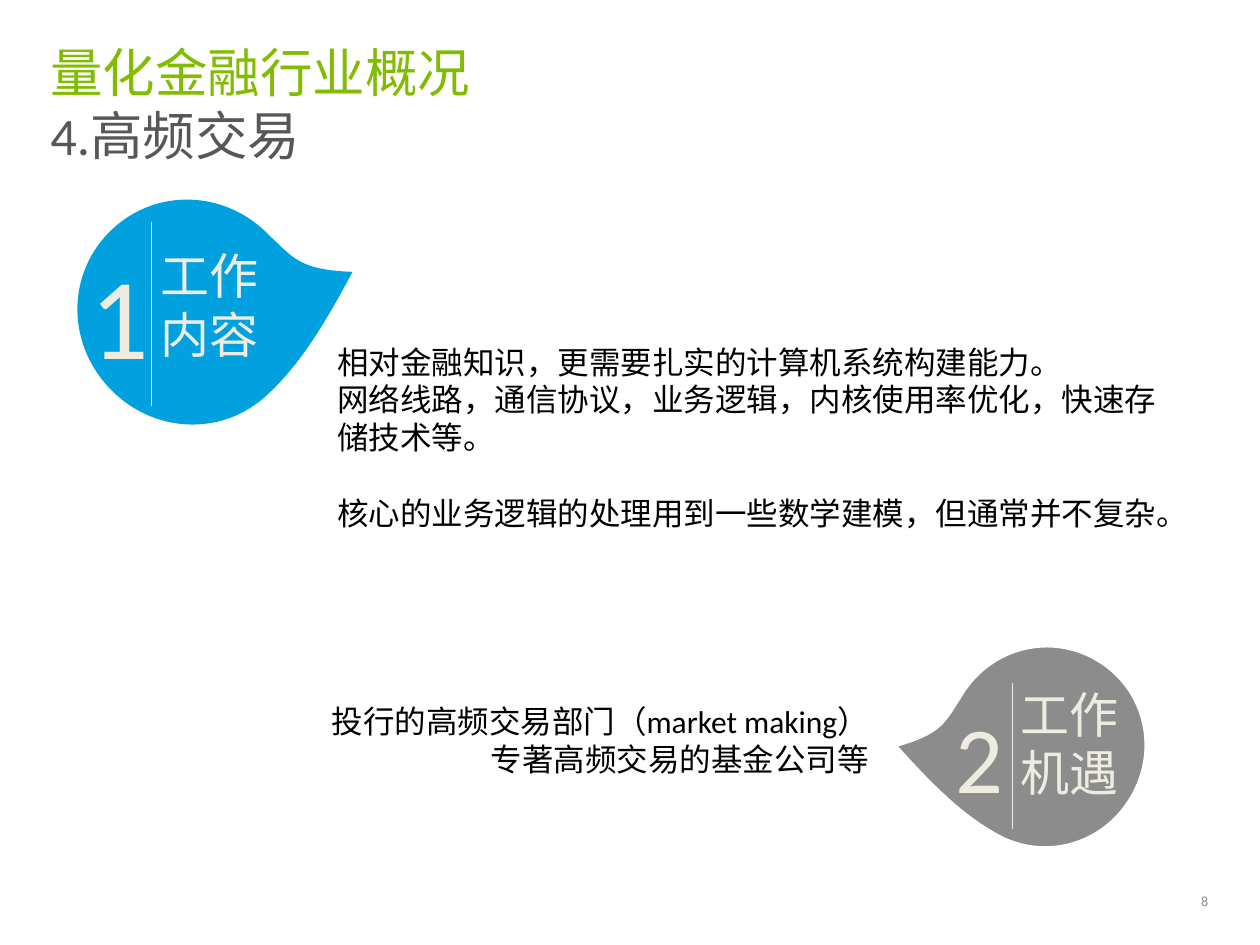
from lxml import etree
from pptx import Presentation
from pptx.dml.color import RGBColor
from pptx.enum.shapes import MSO_CONNECTOR
from pptx.enum.text import MSO_ANCHOR, MSO_AUTO_SIZE, PP_ALIGN
from pptx.oxml.ns import qn
from pptx.util import Inches, Pt

STRAIGHT = MSO_CONNECTOR.STRAIGHT
TOP, MIDDLE = MSO_ANCHOR.TOP, MSO_ANCHOR.MIDDLE
LEFT, RIGHT = PP_ALIGN.LEFT, PP_ALIGN.RIGHT
NO_AUTOFIT = MSO_AUTO_SIZE.NONE
TITLE_ONLY = 5
WIDTH, HEIGHT = Inches(10), Inches(7.5)
COLUMNS = 100  # the grid cells are square
CELL = WIDTH / COLUMNS

# Drop outline as shares of its box: two control points and an end per curve.
DROP_START = (0, 0.57)
DROP_CURVES = [
    [(0, 0.33), (0.22, 0.14), (0.5, 0.14)],
    [(0.63, 0.13), (0.69, 0.15), (0.86, 0)],
    [(0.97, 0.28), (1, 0.43), (1, 0.57)],
    [(1, 0.81), (0.78, 1), (0.5, 1)],
    [(0.22, 1), (0, 0.81), DROP_START],
]


def color(hex_string):
    return RGBColor.from_string(hex_string)


def cells(*values):
    return [round(value * CELL) for value in values]


class SlideBuilder:
    font = "Calibri"
    green, dark_gray, gray = "81BC00", "575757", "8C8C8C"
    blue, cream, black, white = "00A1DE", "EEECE1", "000000", "FFFFFF"

    def __init__(self, slide):
        self.slide = slide

    def add_run(self, paragraph, text, size, hex_color):
        run = paragraph.add_run()
        run.text = text
        run.font.name = self.font
        run.font.size = Pt(size)
        run.font.color.rgb = color(hex_color)

    def set_frame(self, frame, insets, anchor):
        frame.word_wrap = True
        frame.auto_size = NO_AUTOFIT
        frame.vertical_anchor = anchor
        horizontal, vertical = cells(*insets)
        frame.margin_left = frame.margin_right = horizontal
        frame.margin_top = frame.margin_bottom = vertical

    def title(self, box, heading, subheading, size=30):
        shape = self.slide.shapes.title
        shape.left, shape.top, shape.width, shape.height = cells(*box)
        self.set_frame(shape.text_frame, (0, 0), TOP)
        paragraph = shape.text_frame.paragraphs[0]
        paragraph.alignment = LEFT
        self.add_run(paragraph, heading, size, self.green)
        paragraph.add_line_break()
        line_break = paragraph._p.find(qn("a:br"))
        etree.SubElement(line_break, qn("a:rPr"), sz=str(size * 100))
        self.add_run(paragraph, subheading, size, self.dark_gray)

    def text(self, box, lines, size, hex_color, insets=(1, 0.5), alignment=LEFT,
             anchor=TOP, shapes=None, gaps=None):
        """Add a text box; gaps maps a line's index to the points before it."""
        shapes = self.slide.shapes if shapes is None else shapes
        frame = shapes.add_textbox(*cells(*box)).text_frame
        self.set_frame(frame, insets, anchor)
        for index, line in enumerate(lines):
            paragraph = frame.add_paragraph() if index else frame.paragraphs[0]
            paragraph.alignment = alignment
            if gaps and index in gaps:
                paragraph.space_before = Pt(gaps[index])
            self.add_run(paragraph, line, size, hex_color)

    def drop(self, shapes, box, rotation, fill, outline, mirrored):
        left, top, width, height = box

        def place(point):
            across = 1 - point[0] if mirrored else point[0]
            return cells(left + across * width, top + point[1] * height)

        builder = shapes.build_freeform(*place(DROP_START))
        builder.add_line_segments([place(curve[-1]) for curve in DROP_CURVES])
        shape = builder.convert_to_shape()
        segments = list(shape._element.spPr.iter(qn("a:lnTo")))
        for segment, curve in zip(segments, DROP_CURVES):
            segment.tag = qn("a:cubicBezTo")
            for index, control in enumerate(curve[:2]):
                x, y = place(control)
                point = etree.Element(qn("a:pt"), x=str(x - shape.left),
                                      y=str(y - shape.top))
                segment.insert(index, point)
        shape.rotation = rotation
        shape.shadow.inherit = False
        shape.fill.solid()
        shape.fill.fore_color.rgb = color(fill)
        if outline:
            shape.line.color.rgb = color(outline)
            shape.line.width = Pt(1.5)
        else:
            shape.line.fill.background()

    def divider(self, shapes, x, top, bottom):
        line = shapes.add_connector(STRAIGHT, *cells(x, top, x, bottom))
        line.line.color.rgb = color(self.cream)
        line.line.width = Pt(0.5)
        etree.SubElement(line._element.spPr, qn("a:effectLst"))

    def badge(self, box, rotation, fill, label, label_box, number, number_box,
              number_size, divider, outline=None, mirrored=False):
        """Group a drop with its number, divider and label."""
        shapes = self.slide.shapes.add_group_shape().shapes
        self.drop(shapes, box, rotation, fill, outline, mirrored)
        self.text(label_box, [label], 28, self.cream, (0, 0), shapes=shapes)
        self.text(number_box, [number], number_size, self.cream, (0.4, 0.4),
                  shapes=shapes)
        self.divider(shapes, *divider)


def main():
    presentation = Presentation()
    presentation.slide_width, presentation.slide_height = WIDTH, HEIGHT
    layout = presentation.slide_layouts[TITLE_ONLY]
    builder = SlideBuilder(presentation.slides.add_slide(layout))

    builder.title((4, 3.2, 91.7, 5.1), "量化金融行业概况", "4.高频交易")
    builder.text((87.2, 70.1, 8.7, 2.8), ["8"], 8, builder.gray, (0, 0),
                 RIGHT, MIDDLE)
    builder.text(
        (25.8, 26.7, 67.9, 16.2),
        ["相对金融知识，更需要扎实的计算机系统构建能力。",
         "网络线路，通信协议，业务逻辑，内核使用率优化，快速存储技术等。",
         "核心的业务逻辑的处理用到一些数学建模，但通常并不复杂。"],
        18, builder.black, gaps={2: 21.6})
    builder.badge(
        (7.1, 13.6, 18, 20.4), 47, builder.blue,
        "工作内容", (12.75, 19.5, 9.9, 9.4),
        "1", (6.8, 19, 6.2, 10), 66, (12.05, 17.6, 32.2))
    builder.badge(
        (73.9, 49.5, 16, 18.3), 299.4, builder.gray,
        "工作机遇", (81, 54.3, 8.8, 9.4),
        "2", (75.4, 55.1, 6.4, 9.9), 54, (80.35, 54.2, 65.8),
        outline=builder.white, mirrored=True)
    builder.text((20.25, 55.2, 49.7, 7.1),
                 ["投行的高频交易部门（market making）", "专著高频交易的基金公司等"],
                 18, builder.black, alignment=RIGHT)

    presentation.save("out.pptx")


if __name__ == "__main__":
    main()
